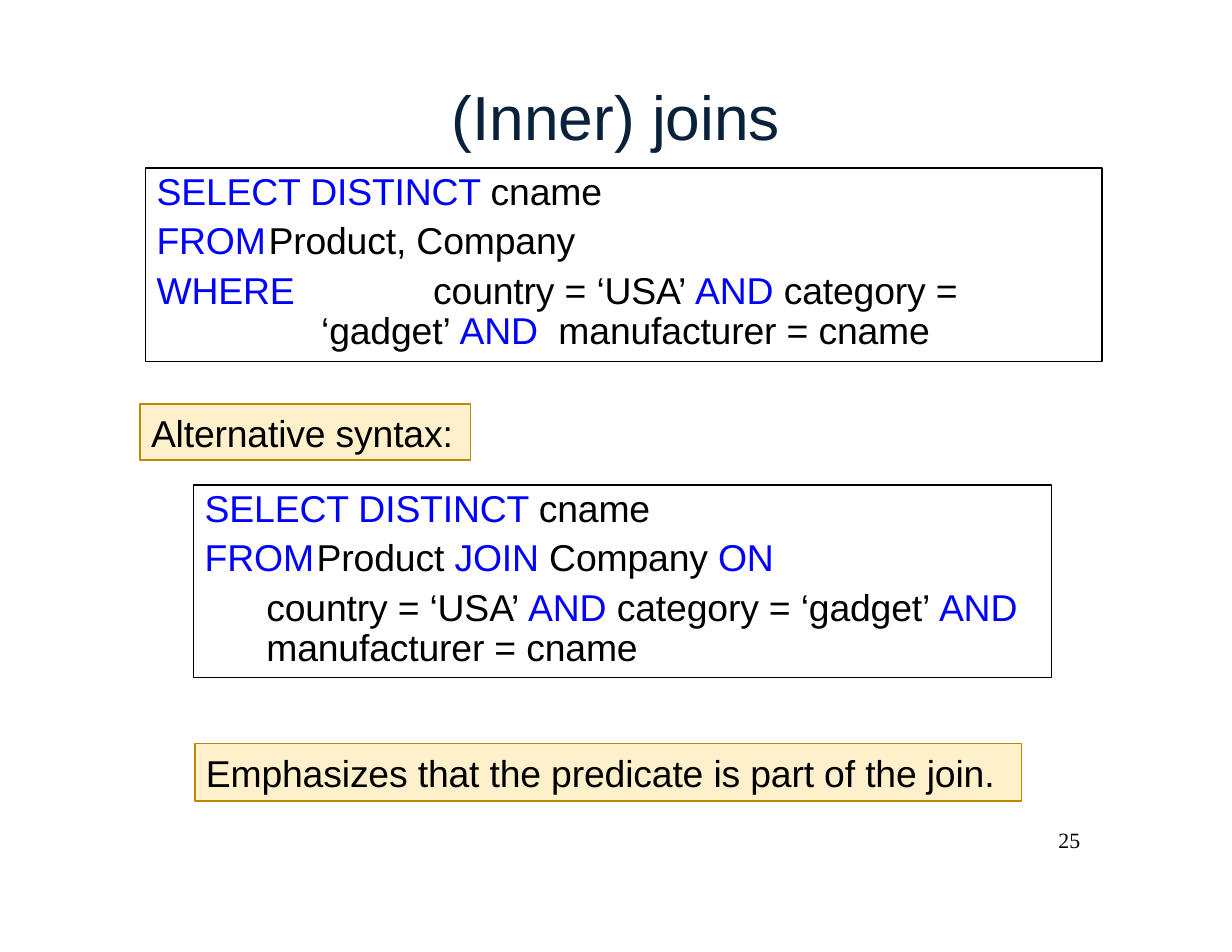
from pptx import Presentation
from pptx.dml.color import RGBColor
from pptx.enum.shapes import MSO_SHAPE
from pptx.enum.text import MSO_ANCHOR, PP_ALIGN
from pptx.util import Inches, Pt

BLACK = RGBColor(0x00, 0x00, 0x00)
NAVY = RGBColor(0x09, 0x21, 0x3B)
BLUE = RGBColor(0x00, 0x00, 0xFF)
CREAM = RGBColor(0xFF, 0xF0, 0xCC)
GOLD = RGBColor(0xBF, 0x87, 0x00)

WIDTH, HEIGHT = Inches(11), Inches(8.5)
COLS, ROWS = 110, 85


class SlideBuilder:
    """Holds the style and the slide; places are columns and rows of the grid."""

    body = {"name": "Arial", "size": Pt(24)}
    heading = {"name": "Arial", "size": Pt(40)}
    number = {"name": "Times New Roman", "size": Pt(14)}

    def __init__(self, prs):
        self.s = prs.slides.add_slide(prs.slide_layouts[5])

    def box(self, col, row, cols, rows):
        w, h = WIDTH / COLS, HEIGHT / ROWS
        return [round(v) for v in (col * w, row * h, cols * w, rows * h)]

    def frame(self, sp, anchor, left=0, right=0, wrap=True):
        tf = sp.text_frame
        values = {"margin_left": Inches(left), "margin_right": Inches(right),
                  "margin_top": 0, "margin_bottom": 0,
                  "vertical_anchor": anchor, "word_wrap": wrap}
        for key, value in values.items():
            setattr(tf, key, value)
        return tf

    def run(self, p, text, font, color):
        r = p.add_run()
        r.text = text
        for key, value in font.items():
            setattr(r.font, key, value)
        r.font.color.rgb = color
        if font is self.body:
            r.font._element.set("spc", "-10")

    def title(self, place, text):
        sp = self.s.shapes.title
        sp.left, sp.top, sp.width, sp.height = self.box(*place)
        p = self.frame(sp, MSO_ANCHOR.MIDDLE, wrap=False).paragraphs[0]
        p.alignment = PP_ALIGN.CENTER
        self.run(p, text, self.heading, NAVY)

    def panel(self, place, line, fill=None):
        sp = self.s.shapes.add_shape(MSO_SHAPE.RECTANGLE, *self.box(*place))
        sp.shadow.inherit = False
        if fill is None:
            sp.fill.background()
        else:
            sp.fill.solid()
            sp.fill.fore_color.rgb = fill
        sp.line.color.rgb = line
        sp.line.width = Pt(1)
        return sp

    def query(self, place, lines, margin, indent=0):
        """SQL in a frame; *stars* mark keywords, the last line may wrap."""
        tf = self.frame(self.panel(place, BLACK), MSO_ANCHOR.TOP, 0.1, 0.15)
        for i, line in enumerate(lines):
            p = tf.paragraphs[0] if i == 0 else tf.add_paragraph()
            p.alignment = PP_ALIGN.LEFT
            p.space_before = Pt((0.2, 2.9, 6.2)[i])
            pPr = p._p.get_or_add_pPr()
            pPr.set("defTabSz", str(Inches(1)))
            if i == len(lines) - 1:
                p.line_spacing = Pt(25.9)
                pPr.set("marL", str(Inches(margin)))
                pPr.set("indent", str(Inches(indent)))
            for n, part in enumerate(line.split("*")):
                if part:
                    self.run(p, part, self.body, BLUE if n % 2 else BLACK)

    def note(self, place, text):
        sp = self.panel(place, GOLD, CREAM)
        p = self.frame(sp, MSO_ANCHOR.MIDDLE, 0.1).paragraphs[0]
        p.alignment = PP_ALIGN.LEFT
        self.run(p, text, self.body, BLACK)

    def page_number(self, place, text):
        sp = self.s.shapes.add_textbox(*self.box(*place))
        p = self.frame(sp, MSO_ANCHOR.MIDDLE, 0.04).paragraphs[0]
        self.run(p, text, self.number, BLACK)


def main():
    prs = Presentation()
    prs.slide_width, prs.slide_height = WIDTH, HEIGHT
    b = SlideBuilder(prs)

    b.title((40.2, 6.8, 29.6, 7), "(Inner) joins")

    # Join written in the WHERE clause
    b.query((13, 15, 85.4, 17.3), [
        "*SELECT DISTINCT *cname",
        "*FROM\t*Product, Company",
        "*WHERE\t\t*country = ‘USA’ *AND *category = ‘gadget’ "
        "*AND * manufacturer = cname",
    ], margin=1.47, indent=-1.47)

    # Join written with JOIN ... ON
    b.note((12.5, 36.1, 29.5, 5), "Alternative syntax:")
    b.query((17.3, 43.3, 76.6, 17.2), [
        "*SELECT DISTINCT *cname",
        "*FROM\t*Product *JOIN *Company *ON*",
        "country = ‘USA’ *AND *category = ‘gadget’ "
        "*AND * manufacturer = cname",
    ], margin=0.55)
    b.note((17.4, 66.4, 73.8, 5.1),
           "Emphasizes that the predicate is part of the join.")

    b.page_number((94.1, 73.8, 2.8, 2.4), "25")
    prs.save("out.pptx")


if __name__ == "__main__":
    main()
